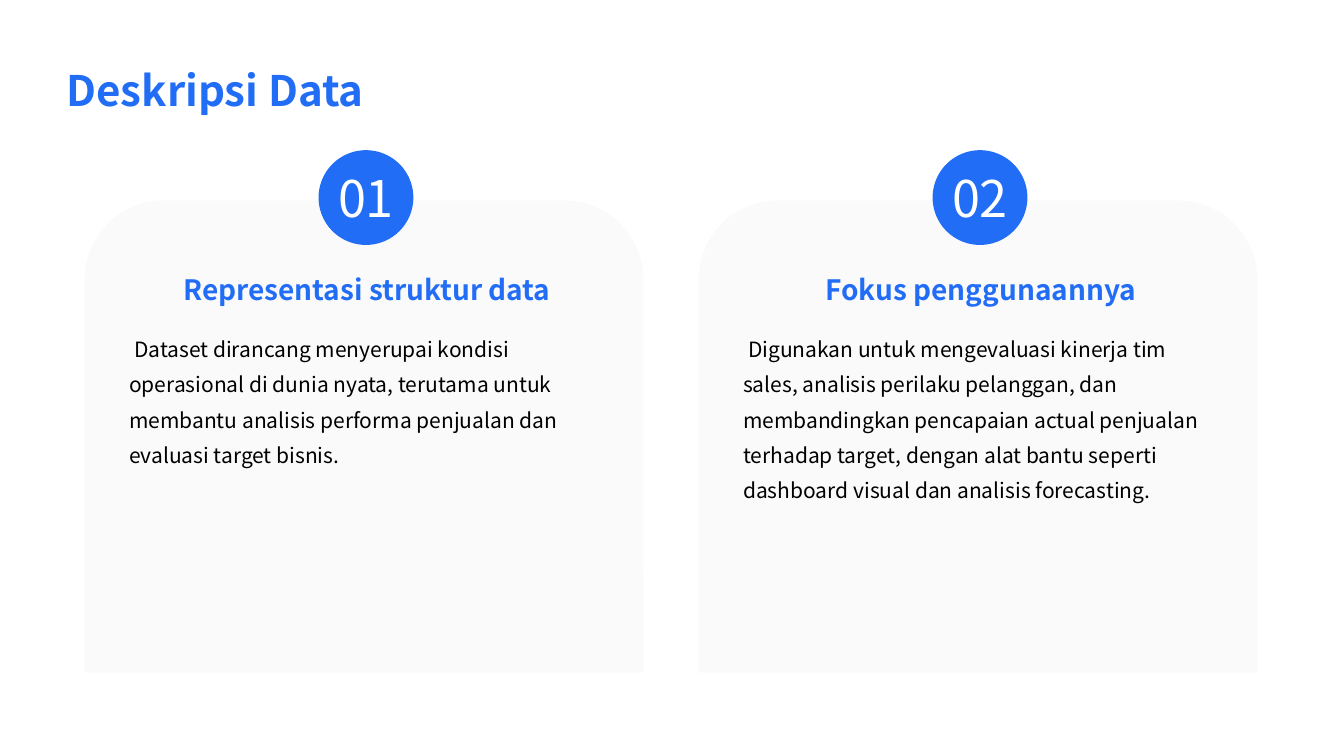
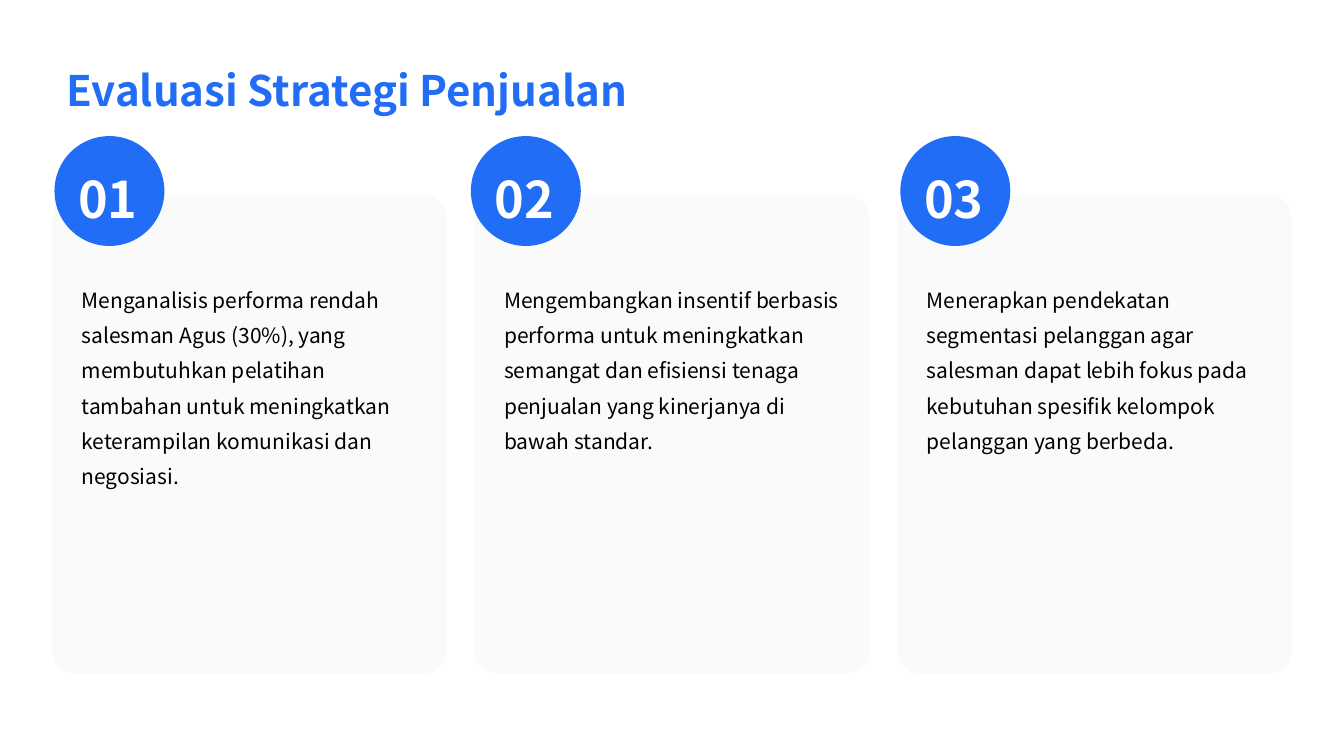
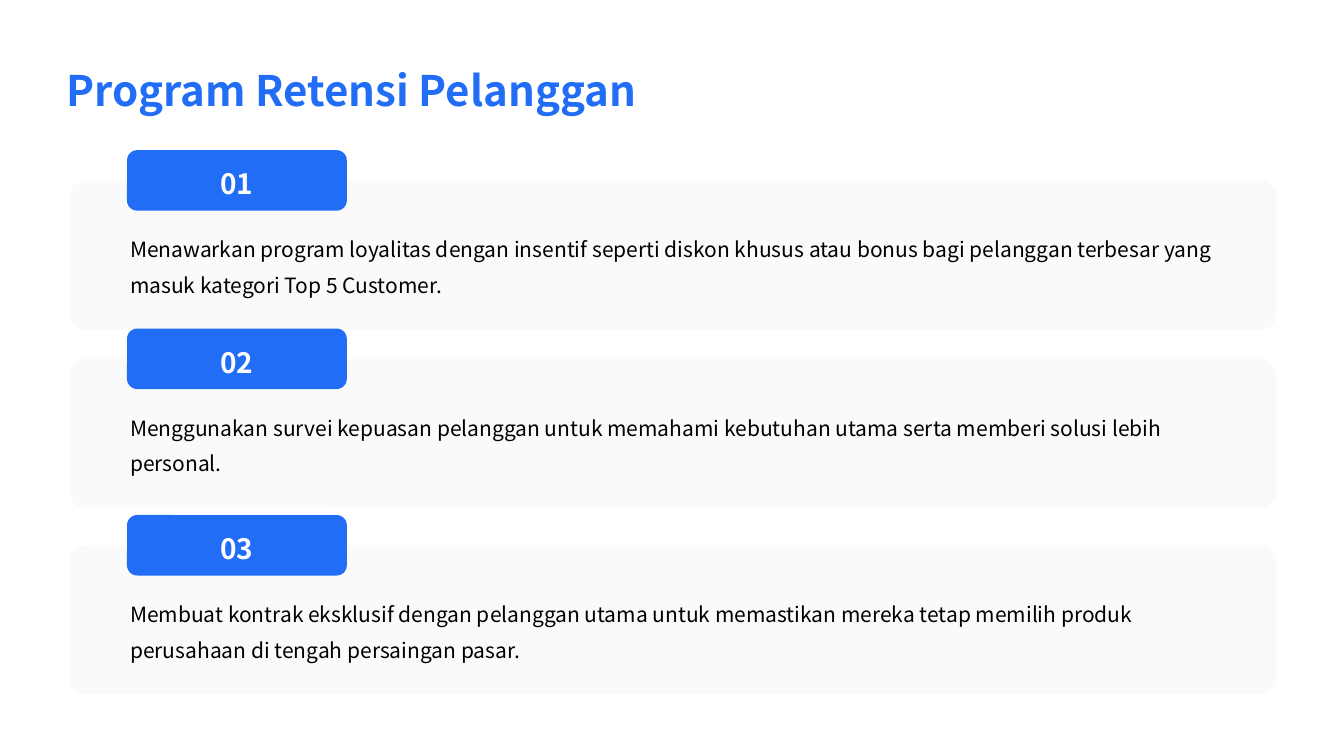
from dataclasses import dataclass
from typing import NamedTuple, Optional

import lxml.etree
import pptx
import pptx.dml.color
import pptx.enum.shapes
import pptx.enum.text
import pptx.oxml.ns
import pptx.presentation
import pptx.shapes.autoshape
import pptx.slide
import pptx.text.text
import pptx.util
from pptx.util import Inches

SHAPES = pptx.enum.shapes.MSO_SHAPE
ALIGN = pptx.enum.text.PP_ALIGN
ANCHOR = pptx.enum.text.MSO_ANCHOR


# Theme
@dataclass(frozen=True)
class Theme:
    font: str = "Noto Sans CJK SC"
    accent: str = "226DF6"
    panel: str = "F9F9F9"
    panel_opacity: int = 80
    ink: str = "000000"
    white: str = "FFFFFF"
    tab_ink: str = "FDFCFC"
    title_size: int = 30
    number_size: int = 36
    heading_size: int = 20
    body_size: int = 15
    body_spacing: float = 1.4
    label_spacing: float = 1.2


THEME = Theme()


class Box(NamedTuple):
    left: float
    top: float
    width: float
    height: float


class Margins(NamedTuple):
    left: float
    top: float
    right: float
    bottom: float


WIDE_MARGINS = Margins(0.14, 0.14, 0.06, 0.14)
SLIM_MARGINS = Margins(0.07, 0.04, 0.07, 0.04)
NO_MARGINS = Margins(0, 0, 0, 0)
TITLE_BOX = Box(0.52, 0.29, 12.29, 1)


@dataclass(frozen=True)
class TextStyle:
    size: int
    color: str
    bold: bool = False
    align: ALIGN = ALIGN.LEFT
    spacing: float = 1.0
    anchor: ANCHOR = ANCHOR.MIDDLE
    margins: Margins = NO_MARGINS
    wrap: bool = True
    first_line: float = 0


TITLE = TextStyle(THEME.title_size, THEME.accent, True,
                  spacing=THEME.body_spacing, margins=WIDE_MARGINS)
HEADING = TextStyle(THEME.heading_size, THEME.accent, True, ALIGN.CENTER,
                    THEME.label_spacing, margins=WIDE_MARGINS)
BODY = TextStyle(THEME.body_size, THEME.ink, spacing=THEME.body_spacing,
                 anchor=ANCHOR.TOP, margins=SLIM_MARGINS)
INDENTED_BODY = TextStyle(THEME.body_size, THEME.ink, spacing=THEME.body_spacing,
                          anchor=ANCHOR.TOP, margins=WIDE_MARGINS, first_line=0.05)
LIGHT_NUMBER = TextStyle(THEME.number_size, THEME.white, align=ALIGN.CENTER, wrap=False)
BOLD_NUMBER = TextStyle(THEME.number_size, THEME.white, True, ALIGN.CENTER,
                        THEME.label_spacing)
TAB_NUMBER = TextStyle(THEME.heading_size, THEME.tab_ink, True, ALIGN.CENTER,
                       THEME.label_spacing, margins=SLIM_MARGINS)


# Content
class DataCard(NamedTuple):
    heading: str
    body: str


class StrategyCard(NamedTuple):
    circle_left: float
    body: str


class RetentionRow(NamedTuple):
    top: float
    body: str


DATA_CARDS = [
    DataCard("Representasi struktur data",
             "Dataset dirancang menyerupai kondisi operasional di dunia nyata, terutama "
             "untuk membantu analisis performa penjualan dan evaluasi target bisnis."),
    DataCard("Fokus penggunaannya",
             "Digunakan untuk mengevaluasi kinerja tim sales, analisis perilaku pelanggan, "
             "dan membandingkan pencapaian actual penjualan terhadap target, dengan alat "
             "bantu seperti dashboard visual dan analisis forecasting."),
]
STRATEGY_CARDS = [
    StrategyCard(0.54, "Menganalisis performa rendah salesman Agus (30%), yang membutuhkan "
                       "pelatihan tambahan untuk meningkatkan keterampilan komunikasi dan "
                       "negosiasi."),
    StrategyCard(4.67, "Mengembangkan insentif berbasis performa untuk meningkatkan semangat "
                       "dan efisiensi tenaga penjualan yang kinerjanya di bawah standar."),
    StrategyCard(8.93, "Menerapkan pendekatan segmentasi pelanggan agar salesman dapat lebih "
                       "fokus pada kebutuhan spesifik kelompok pelanggan yang berbeda."),
]
RETENTION_ROWS = [
    RetentionRow(1.79, "Menawarkan program loyalitas dengan insentif seperti diskon khusus "
                       "atau bonus bagi pelanggan terbesar yang masuk kategori Top 5 Customer."),
    RetentionRow(3.56, "Menggunakan survei kepuasan pelanggan untuk memahami kebutuhan utama "
                       "serta memberi solusi lebih personal."),
    RetentionRow(5.41, "Membuat kontrak eksklusif dengan pelanggan utama untuk memastikan "
                       "mereka tetap memilih produk perusahaan di tengah persaingan pasar."),
]


# Drawing helpers
def rgb(color: str) -> pptx.dml.color.RGBColor:
    return pptx.dml.color.RGBColor.from_string(color)


def lengths(box: Box) -> list[pptx.util.Length]:
    return [Inches(value) for value in box]


def write(frame: pptx.text.text.TextFrame, text: str, style: TextStyle) -> None:
    frame.auto_size = pptx.enum.text.MSO_AUTO_SIZE.NONE
    frame.word_wrap = style.wrap
    frame.vertical_anchor = style.anchor
    (frame.margin_left, frame.margin_top,
     frame.margin_right, frame.margin_bottom) = lengths(style.margins)
    frame.text = text
    paragraph = frame.paragraphs[0]
    paragraph.alignment = style.align
    paragraph.line_spacing = style.spacing
    if style.first_line:
        paragraph._p.get_or_add_pPr().set("indent", str(Inches(style.first_line)))
    paragraph.font.name = THEME.font
    paragraph.font.size = pptx.util.Pt(style.size)
    paragraph.font.bold = style.bold
    paragraph.font.color.rgb = rgb(style.color)


def add_text(slide: pptx.slide.Slide, box: Box, text: str, style: TextStyle) -> None:
    write(slide.shapes.add_textbox(*lengths(box)).text_frame, text, style)


def add_filled(slide: pptx.slide.Slide, preset: SHAPES, box: Box, color: str,
               corner: Optional[float] = None) -> pptx.shapes.autoshape.Shape:
    shape = slide.shapes.add_shape(preset, *lengths(box))
    shape.shadow.inherit = False
    shape.fill.solid()
    shape.fill.fore_color.rgb = rgb(color)
    shape.line.fill.background()
    if corner is not None:
        shape.adjustments[0] = corner
    return shape


def add_panel(slide: pptx.slide.Slide, preset: SHAPES, box: Box,
              corner: Optional[float] = None) -> None:
    panel = add_filled(slide, preset, box, THEME.panel, corner)
    qn = pptx.oxml.ns.qn
    tint = panel.fill._xPr.find(qn("a:solidFill")).find(qn("a:srgbClr"))
    lxml.etree.SubElement(tint, qn("a:alpha")).set("val", str(THEME.panel_opacity * 1000))


def add_titled_slide(deck: pptx.presentation.Presentation, title: str) -> pptx.slide.Slide:
    slide = deck.slides.add_slide(deck.slide_layouts.get_by_name("Title Only"))
    heading = slide.shapes.title
    heading.left, heading.top, heading.width, heading.height = lengths(TITLE_BOX)
    write(heading.text_frame, title, TITLE)
    return slide


# Slides
def build_data_description(deck: pptx.presentation.Presentation) -> None:
    slide = add_titled_slide(deck, "Deskripsi Data")
    for index, card in enumerate(DATA_CARDS):
        left = 0.84 + 6.09 * index
        add_panel(slide, SHAPES.ROUND_2_SAME_RECTANGLE, Box(left, 1.99, 5.54, 4.68))
        add_text(slide, Box(left + 0.38, 2.51, 4.76, 0.66), card.heading, HEADING)
        add_text(slide, Box(left + 0.3, 3.1, 4.91, 3.28), card.body, INDENTED_BODY)
        add_filled(slide, SHAPES.OVAL, Box(left + 2.32, 1.49, 0.94, 0.94), THEME.accent)
        add_text(slide, Box(left + 2.35, 1.56, 0.88, 0.8), f"{index + 1:02}", LIGHT_NUMBER)


def build_sales_strategy(deck: pptx.presentation.Presentation) -> None:
    slide = add_titled_slide(deck, "Evaluasi Strategi Penjualan")
    for index, card in enumerate(STRATEGY_CARDS):
        left = 0.52 + 4.19 * index
        add_panel(slide, SHAPES.ROUNDED_RECTANGLE, Box(left, 1.94, 3.91, 4.74), 0.055)
        add_text(slide, Box(left + 0.22, 2.71, 3.48, 3.79), card.body, BODY)
        add_filled(slide, SHAPES.OVAL, Box(card.circle_left, 1.35, 1.09, 1.09), THEME.accent)
        add_text(slide, Box(card.circle_left + 0.01, 1.56, 1.04, 0.69),
                 f"{index + 1:02}", BOLD_NUMBER)


def build_customer_retention(deck: pptx.presentation.Presentation) -> None:
    slide = add_titled_slide(deck, "Program Retensi Pelanggan")
    for number, row in enumerate(RETENTION_ROWS, start=1):
        add_panel(slide, SHAPES.ROUNDED_RECTANGLE, Box(0.69, row.top, 11.97, 1.48), 0.11)
        tab = add_filled(slide, SHAPES.ROUNDED_RECTANGLE,
                         Box(1.26, row.top - 0.3, 2.18, 0.6), THEME.accent, 0.167)
        write(tab.text_frame, f"{number:02}", TAB_NUMBER)
        add_text(slide, Box(1.22, row.top + 0.42, 10.92, 0.87), row.body, BODY)


def main() -> None:
    deck = pptx.Presentation()
    deck.slide_width, deck.slide_height = Inches(13.33), Inches(7.5)
    build_data_description(deck)
    build_sales_strategy(deck)
    build_customer_retention(deck)
    deck.save("out.pptx")


if __name__ == "__main__":
    main()
